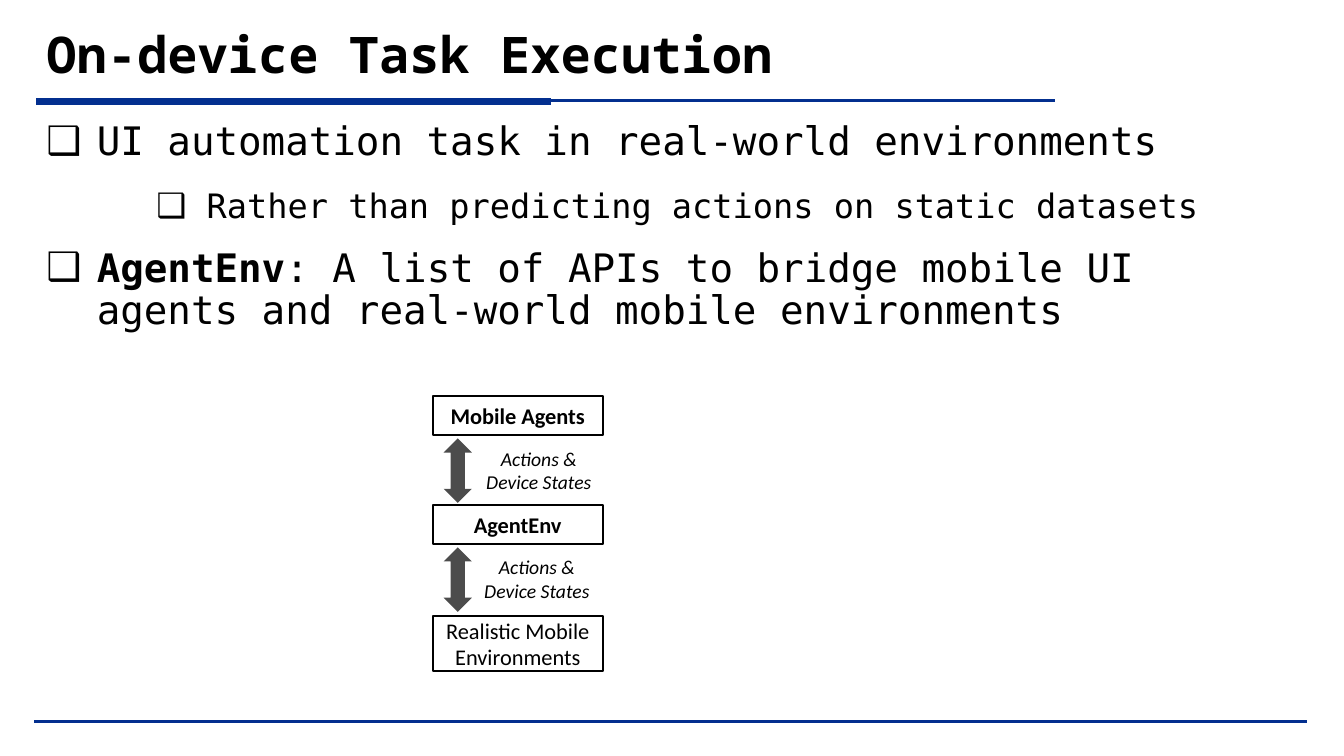
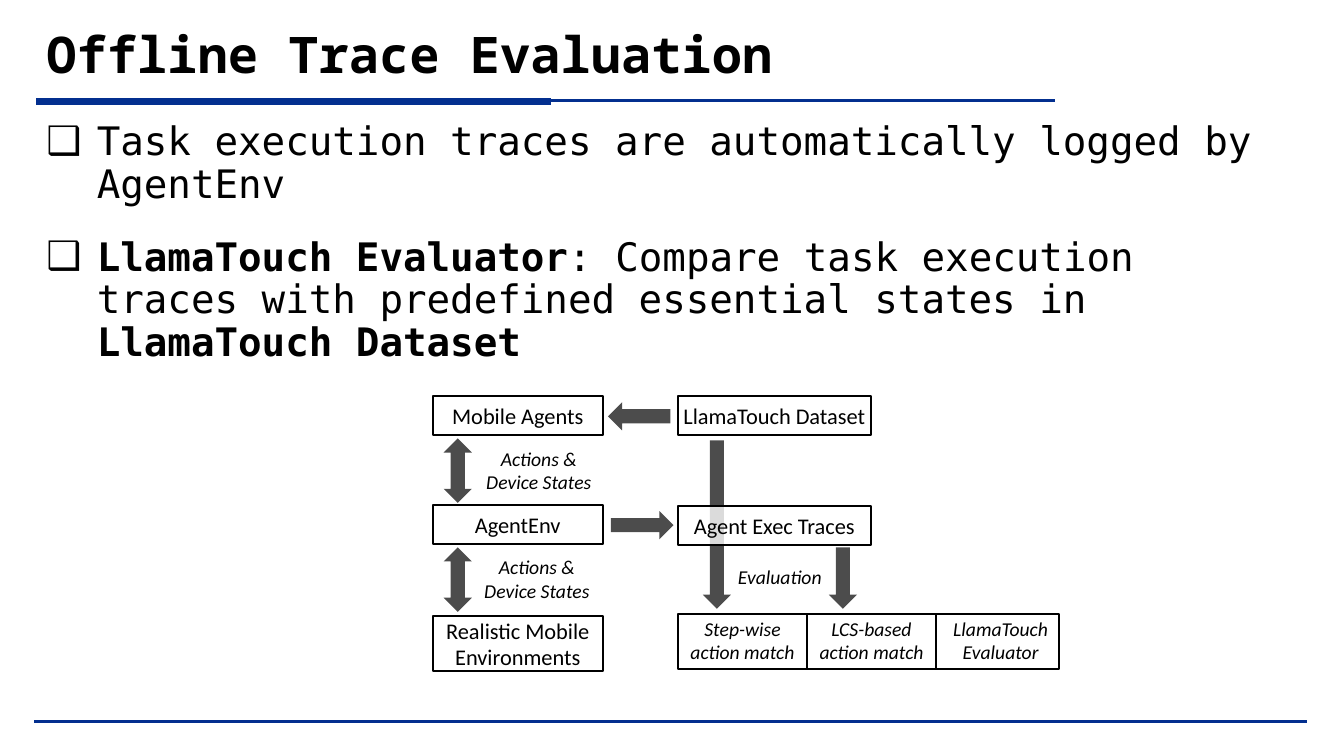
from lxml.etree import SubElement
from pptx import Presentation
from pptx.dml.color import RGBColor
from pptx.enum.shapes import MSO_CONNECTOR, MSO_SHAPE
from pptx.enum.text import MSO_ANCHOR, MSO_AUTO_SIZE, PP_ALIGN
from pptx.oxml.ns import qn
from pptx.util import Inches, Pt

BLACK = RGBColor(0x00, 0x00, 0x00)
WHITE = RGBColor(0xFF, 0xFF, 0xFF)
BLUE = RGBColor(0x03, 0x2F, 0x8F)
HEAD, MONO, SANS = "Noto Sans Mono", "DejaVu Sans Mono", "Calibri"
STATES = "Actions & Device States"

# size, left margin, space before, space after for each list level
LEVELS = [(28, 0.5, 10, 12), (24, 1.59, 6, 6)]


def write(para, text, font=SANS, size=16, bold=False, italic=False,
          align=PP_ALIGN.CENTER):
    """Add one run to a paragraph."""
    para.alignment = align
    run = para.add_run()
    run.text = text
    face = run.font
    face.name, face.size = font, Pt(size)
    face.bold, face.italic = bold, italic
    face.color.rgb = BLACK


def place(item, left, top, width, height):
    item.left, item.top = Inches(left), Inches(top)
    item.width, item.height = Inches(width), Inches(height)


def fade(shape, color, alpha):
    """Fill a shape with a colour at the given percent of opacity."""
    shape.fill.solid()
    shape.fill.fore_color.rgb = color
    tint = shape.fill._xPr.find(qn("a:solidFill"))[0]
    SubElement(tint, qn("a:alpha")).set("val", str(alpha * 1000))


def rule(slide, x1, y1, x2, y2, color=BLACK, width=1.5):
    line = slide.shapes.add_connector(
        MSO_CONNECTOR.STRAIGHT, Inches(x1), Inches(y1), Inches(x2), Inches(y2))
    line.line.color.rgb = color
    line.line.width = Pt(width)
    SubElement(line.element.spPr, qn("a:effectLst"))
    return line


def box(slide, left, top, width, height, text="", bold=False, inset=0.1):
    shape = slide.shapes.add_shape(
        MSO_SHAPE.RECTANGLE, Inches(left), Inches(top),
        Inches(width), Inches(height))
    shape.shadow.inherit = False
    fade(shape, WHITE, 80)
    shape.line.color.rgb = BLACK
    shape.line.width = Pt(1.5)
    if text:
        frame = shape.text_frame
        frame.word_wrap = True
        frame.vertical_anchor = MSO_ANCHOR.MIDDLE
        frame.margin_left = frame.margin_right = Inches(inset)
        frame.margin_top = frame.margin_bottom = Inches(0.04)
        write(frame.paragraphs[0], text, bold=bold)


def arrow(slide, kind, left, top, width, height):
    shape = slide.shapes.add_shape(
        kind, Inches(left), Inches(top), Inches(width), Inches(height))
    shape.shadow.inherit = False
    fade(shape, BLACK, 70)
    shape.line.fill.background()


def label(slide, text, left, top, height=0.57):
    frame = slide.shapes.add_textbox(
        Inches(left), Inches(top), Inches(1.07), Inches(height)).text_frame
    frame.word_wrap = True
    frame.margin_left = frame.margin_right = 0
    write(frame.paragraphs[0], text, size=14, italic=True)


def dress(layout, slide):
    """Set the shared frame: rules drawn on a slide, then moved to its layout."""
    place(layout.placeholders[0], 0.36, 0.1, 12.62, 0.85)
    place(layout.placeholders[1], 0.36, 1.16, 12.47, 5.83)
    for x1, x2, y, width in [(0.36, 5.47, 1.01, 4.75),
                             (5.35, 10.46, 1, 2),
                             (0.34, 12.96, 7.16, 2)]:
        line = rule(slide, x1, y, x2, y, BLUE, width)
        layout.shapes.element.append(line.element)


def bullet(para, level):
    size, margin, before, after = LEVELS[level]
    para.level = level
    props = para._p.get_or_add_pPr()
    props.set("marL", str(Inches(margin)))
    props.set("indent", str(Inches(-0.5)))
    tint = SubElement(SubElement(props, qn("a:buClr")), qn("a:srgbClr"))
    tint.set("val", str(BLACK))
    SubElement(props, qn("a:buChar")).set("char", "❑")
    para.line_spacing = 0.9
    para.space_before, para.space_after = Pt(before), Pt(after)
    return size


def fill_text(slide, title, points):
    """Fill title and list; a point is a level and (text, bold) pairs."""
    frame = slide.shapes.title.text_frame
    frame.vertical_anchor = MSO_ANCHOR.MIDDLE
    frame.auto_size = MSO_AUTO_SIZE.NONE
    write(frame.paragraphs[0], title, font=HEAD, size=36, bold=True,
          align=PP_ALIGN.LEFT)
    frame = slide.placeholders[1].text_frame
    frame.auto_size = MSO_AUTO_SIZE.NONE
    for i, (level, *parts) in enumerate(points):
        para = frame.add_paragraph() if i else frame.paragraphs[0]
        size = bullet(para, level)
        if not i:
            para.space_before = Pt(0)
        for text, bold in parts:
            write(para, text, font=MONO, size=size, bold=bold,
                  align=PP_ALIGN.LEFT)


def draw_stack(slide, left, top, bold=False):
    """Agents, AgentEnv and environments, linked by two-way arrows."""
    box(slide, left, top, 1.69, 0.39, "Mobile Agents", bold)
    box(slide, left, top + 1.08, 1.69, 0.39, "AgentEnv", bold)
    box(slide, left, top + 2.18, 1.69, 0.55, "Realistic Mobile Environments")
    for x, y in [(0.52, 0.42), (0.5, 1.5)]:
        arrow(slide, MSO_SHAPE.UP_DOWN_ARROW, left + 0.11, top + y, 0.28, 0.64)
        label(slide, STATES, left + x, top + y + 0.03)


def draw_checks(slide, left, top):
    """Dataset and traces, which lead down to the row of evaluators."""
    arrow(slide, MSO_SHAPE.DOWN_ARROW, left + 0.25, top + 0.44, 0.28, 1.67)
    box(slide, left, top, 1.92, 0.39, "LlamaTouch Dataset", inset=0.04)
    arrow(slide, MSO_SHAPE.LEFT_ARROW, left - 0.69, top + 0.06, 0.62, 0.28)
    box(slide, left, top + 1.09, 1.92, 0.39, "Agent Exec Traces")
    arrow(slide, MSO_SHAPE.RIGHT_ARROW, left - 0.66, top + 1.14, 0.62, 0.28)
    arrow(slide, MSO_SHAPE.DOWN_ARROW, left + 1.5, top + 1.5, 0.28, 0.61)
    label(slide, "Evaluation", left + 0.48, top + 1.63, 0.34)

    row = top + 2.16
    box(slide, left, row, 3.78, 0.55)
    names = ["Step-wise action match", "LCS-based action match",
             "LlamaTouch Evaluator"]
    for i, name in enumerate(names):
        edge = left + 1.28 * i
        label(slide, name, edge + 0.11, row - 0.02)
        if i:
            rule(slide, edge, row, edge, row + 0.55)


def main():
    deck = Presentation()
    deck.slide_width, deck.slide_height = Inches(13.33), Inches(7.5)
    layout = deck.slide_layouts[1]

    slide = deck.slides.add_slide(layout)
    dress(layout, slide)
    fill_text(slide, "On-device Task Execution", [
        (0, ("UI automation task in real-world environments", False)),
        (1, ("Rather than predicting actions on static datasets", False)),
        (0, ("AgentEnv", True),
         (": A list of APIs to bridge mobile UI agents and real-world "
          "mobile environments", False)),
    ])
    draw_stack(slide, 4.29, 3.93, bold=True)

    slide = deck.slides.add_slide(layout)
    fill_text(slide, "Offline Trace Evaluation", [
        (0, ("Task execution traces are automatically logged by AgentEnv",
             False)),
        (0, ("LlamaTouch Evaluator", True),
         (": Compare task execution traces with predefined essential "
          "states in ", False),
         ("LlamaTouch Dataset", True)),
    ])
    draw_stack(slide, 4.29, 3.93)
    draw_checks(slide, 6.72, 3.93)

    deck.save("out.pptx")


if __name__ == "__main__":
    main()
